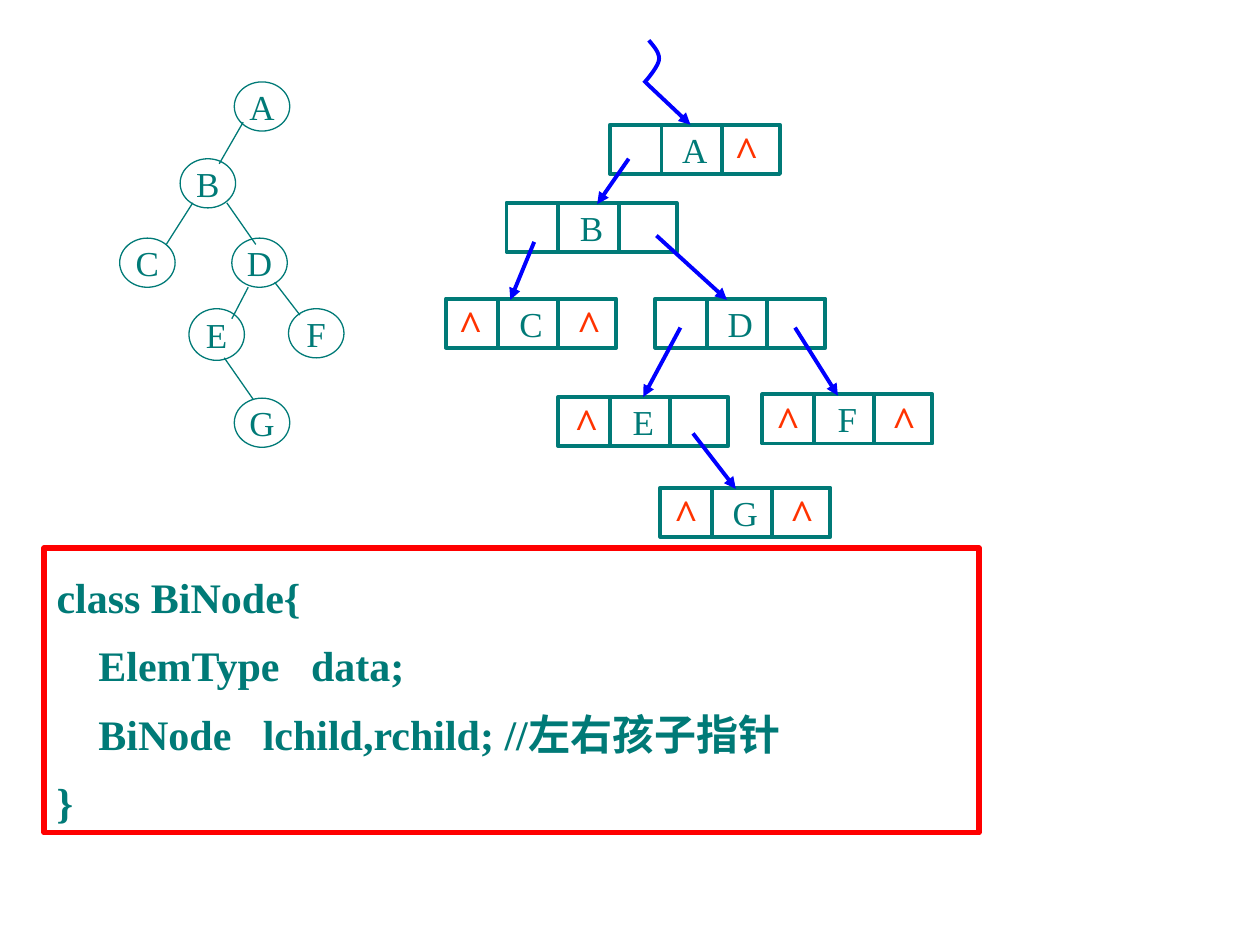
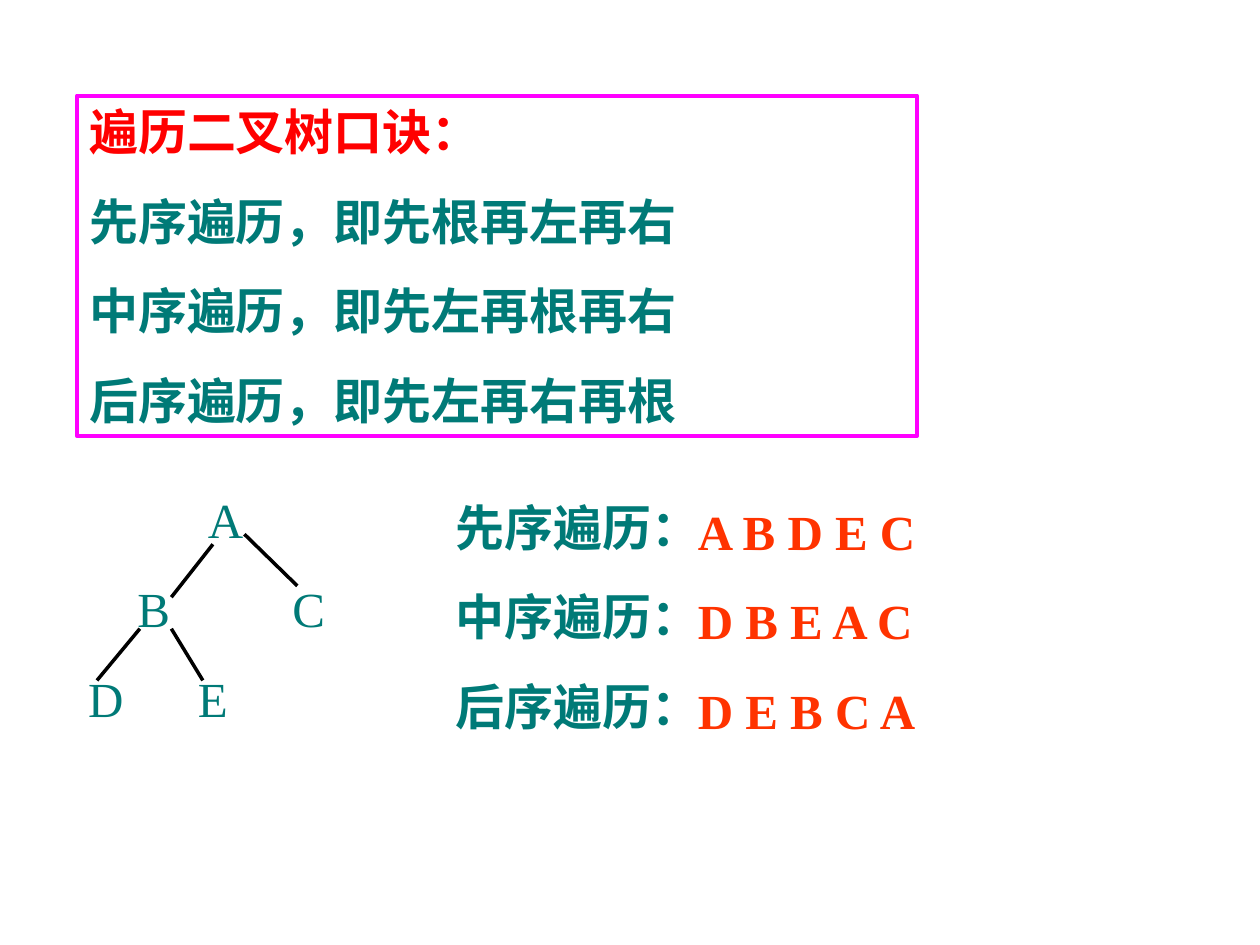
from lxml import etree
from pptx import Presentation
from pptx.dml.color import RGBColor
from pptx.enum import shapes, text
from pptx.oxml import ns
from pptx.util import Inches, Pt

COLORS = {"teal": "007A77", "blue": "0000FF", "orange": "FF3300",
          "red": "FF0000", "magenta": "FF00FF", "black": "000000"}
LATIN, CJK = "Times New Roman", "Noto Sans CJK SC"
LETTER = {"size": Pt(20), "name": LATIN}
CARET = {"size": Pt(24), "name": LATIN, "bold": True}
CODE = {"size": Pt(24), "name": LATIN, "bold": True}
TREE_LETTER = {"size": Pt(28), "name": LATIN}
ORDER = {"size": Pt(28), "name": LATIN, "bold": True}
RHYME = {"size": Pt(28), "name": CJK, "bold": True}
CENTERED = {"alignment": text.PP_ALIGN.CENTER}
CODE_LINES = {"line_spacing": Pt(38.9)}
ORDER_LINES = {"line_spacing": Pt(33.6), "space_before": Pt(17.5)}
NODE_W, NODE_H = 1.35, 0.39
DIVIDERS = (0.41, 0.89)


def rgb(name):
    return RGBColor.from_string(COLORS[name])


def assign(target, values):
    for key, value in values.items():
        setattr(target, key, value)


def outline(line, color, width):
    line.color.rgb = rgb(color)
    line.width = Pt(width)


def write(shape, lines, font, colors, layout, wrap=False):
    frame = shape.text_frame
    middle = text.MSO_ANCHOR.TOP if wrap else text.MSO_ANCHOR.MIDDLE
    assign(frame, {"word_wrap": wrap, "vertical_anchor": middle})
    for i, line in enumerate(lines):
        paragraph = frame.paragraphs[0] if i == 0 else frame.add_paragraph()
        assign(paragraph, {"alignment": text.PP_ALIGN.LEFT, **layout})
        if i == 0:
            paragraph.space_before = Pt(0)
        run = paragraph.add_run()
        run.text = line
        assign(run.font, font)
        run.font.color.rgb = rgb(colors[min(i, len(colors) - 1)])
        latin = run.font._element.find(ns.qn("a:latin"))
        east_asian = etree.Element(ns.qn("a:ea"), typeface=CJK)
        latin.addnext(east_asian)


def add_frame(slide, kind, box, color, width):
    frame = slide.shapes.add_shape(kind, *map(Inches, box))
    frame.shadow.inherit = False
    frame.fill.background()
    outline(frame.line, color, width)
    return frame


def add_label(slide, box, lines, font, color, layout, wrap=False):
    label = slide.shapes.add_textbox(*map(Inches, box))
    write(label, lines, font, [color], layout, wrap)


def add_link(slide, ends, color, width, arrow=False):
    link = slide.shapes.add_connector(shapes.MSO_CONNECTOR.STRAIGHT, *map(Inches, ends))
    outline(link.line, color, width)
    if arrow:
        etree.SubElement(link.line._get_or_add_ln(), ns.qn("a:tailEnd"), type="triangle")
    etree.SubElement(link._element.spPr, ns.qn("a:effectLst"))
    return link


def add_circle(slide, letter, left, top, height=0.39):
    circle = add_frame(slide, shapes.MSO_SHAPE.OVAL, (left, top, 0.44, height), "teal", 0.75)
    write(circle, [letter], LETTER, ["teal"], CENTERED)


def add_node(slide, letter, left, top, carets):
    node = add_frame(slide, shapes.MSO_SHAPE.RECTANGLE, (left, top, NODE_W, NODE_H), "teal", 2.25)
    write(node, [letter], LETTER, ["teal"], CENTERED)
    for offset in DIVIDERS:
        x = left + offset
        add_link(slide, (x, top, x, top + NODE_H), "teal", 2.25)
    for offset in carets:
        add_label(slide, (left + offset, top - 0.05, 0.39, 0.5), ["^"], CARET, "orange", CENTERED)
    return node


def add_curve(slide, segments, color, width, steps=10):
    points = [segments[0][0]]
    for a, b, c, d in segments:
        for i in range(1, steps + 1):
            t = i / steps
            s = 1 - t
            points.append(tuple(s**3 * p + 3 * s * s * t * q + 3 * s * t * t * r + t**3 * e
                                for p, q, r, e in zip(a, b, c, d)))
    points = [(Inches(x), Inches(y)) for x, y in points]
    builder = slide.shapes.build_freeform(*points[0], scale=1.0)
    builder.add_line_segments(points[1:], close=False)
    curve = builder.convert_to_shape()
    curve.shadow.inherit = False
    curve.fill.background()
    outline(curve.line, color, width)


def build_linked_storage(slide):
    for circle in (("A", 1.86, 0.65), ("B", 1.43, 1.26), ("C", 0.95, 1.89), ("D", 1.84, 1.89),
                   ("E", 1.5, 2.45, 0.41), ("F", 2.29, 2.45), ("G", 1.86, 3.16)):
        add_circle(slide, *circle)
    for branch in ((1.93, 0.97, 1.74, 1.3), (1.53, 1.61, 1.32, 1.94), (1.8, 1.61, 2.03, 1.94),
                   (1.97, 2.28, 1.84, 2.53), (2.18, 2.24, 2.38, 2.5), (1.78, 2.84, 2.01, 3.17)):
        add_link(slide, branch, "teal", 0.75)

    nodes = {letter: add_node(slide, letter, left, top, carets)
             for letter, left, top, carets in (
                 ("A", 4.84, 0.99, [0.89]), ("B", 4.02, 1.61, []),
                 ("C", 3.54, 2.37, [0, 0.94]), ("D", 5.2, 2.37, []),
                 ("E", 4.43, 3.15, [0.03]), ("F", 6.05, 3.13, [0.01, 0.93]),
                 ("G", 5.24, 3.87, [0.01, 0.93]))}
    pointers = {child: add_link(slide, ends, "blue", 2.25, arrow=True)
                for child, ends in {
                    "A": (5.13, 0.66, 5.48, 0.99), "B": (4.99, 1.26, 4.74, 1.62),
                    "C": (4.24, 1.92, 4.05, 2.38), "D": (5.21, 1.87, 5.77, 2.38),
                    "E": (5.4, 2.6, 5.09, 3.14), "F": (6.31, 2.6, 6.65, 3.14),
                    "G": (5.5, 3.44, 5.84, 3.88)}.items()}
    pointers["E"].end_connect(nodes["E"], 0)
    add_curve(slide, [((5.15, 0.32), (5.19, 0.37), (5.24, 0.42), (5.23, 0.48)),
                      ((5.23, 0.48), (5.22, 0.53), (5.14, 0.63), (5.11, 0.66))], "blue", 2.25)

    code = add_frame(slide, shapes.MSO_SHAPE.RECTANGLE, (0.35, 4.35, 7.42, 2.26), "red", 3)
    write(code, ["class BiNode{", "    ElemType   data;",
                 "    BiNode   lchild,rchild; //左右孩子指针", "}"],
          CODE, ["teal"], CODE_LINES, wrap=True)


def build_traversals(slide):
    rhyme = add_frame(slide, shapes.MSO_SHAPE.RECTANGLE, (0.61, 0.76, 6.67, 2.7), "magenta", 2.25)
    write(rhyme, ["遍历二叉树口诀：", "先序遍历，即先根再左再右",
                  "中序遍历，即先左再根再右", "后序遍历，即先左再右再根"],
          RHYME, ["red", "teal"], ORDER_LINES, wrap=True)

    for letter, center, level in (("A", 1.79, 0), ("B", 1.22, 1), ("C", 2.45, 1),
                                  ("D", 0.84, 2), ("E", 1.69, 2)):
        add_label(slide, (center - 0.25, 3.84 + 0.71 * level, 0.5, 0.55), [letter],
                  TREE_LETTER, "teal", CENTERED)
    for branch in ((1.69, 4.32, 1.36, 4.74), (1.94, 4.24, 2.36, 4.65),
                   (1.36, 4.99, 1.61, 5.4), (1.11, 4.99, 0.77, 5.4)):
        add_link(slide, branch, "black", 2)

    add_label(slide, (3.52, 3.9, 2.23, 1.99), ["先序遍历：", "中序遍历：", "后序遍历："],
              ORDER, "teal", ORDER_LINES, wrap=True)
    add_label(slide, (5.44, 3.93, 2, 1.99), ["A B D E C", "D B E A C", "D E B C A"],
              ORDER, "orange", ORDER_LINES, wrap=True)


def main():
    deck = Presentation()
    assign(deck, {"slide_width": Inches(10), "slide_height": Inches(7.5)})
    for build in (build_linked_storage, build_traversals):
        build(deck.slides.add_slide(deck.slide_layouts[6]))
    deck.save("out.pptx")


if __name__ == "__main__":
    main()
